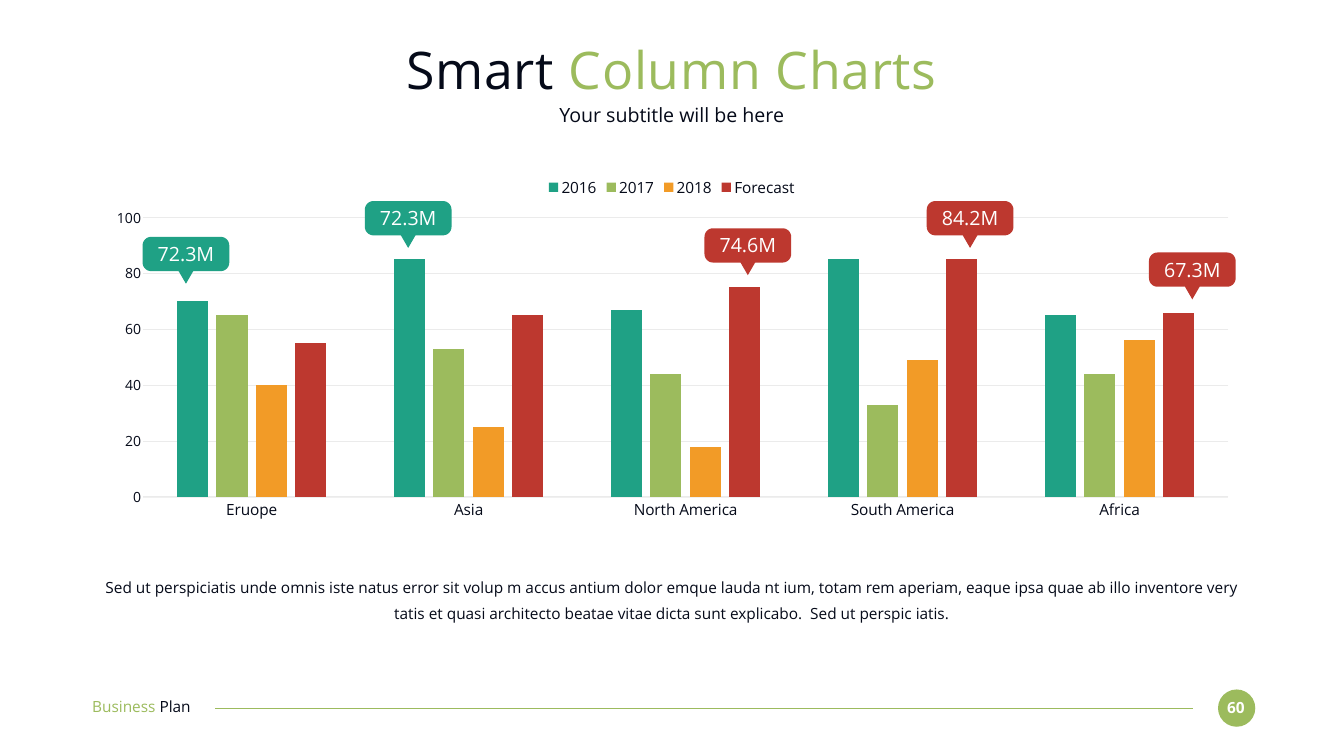
from math import cos, pi, sin
from lxml.etree import SubElement
from pptx import Presentation
from pptx.chart.data import CategoryChartData
from pptx.dml.color import RGBColor
from pptx.enum.chart import XL_CHART_TYPE, XL_LEGEND_POSITION, XL_TICK_MARK
from pptx.enum.shapes import MSO_CONNECTOR, MSO_SHAPE
from pptx.enum.text import MSO_ANCHOR, PP_ALIGN
from pptx.oxml import parse_xml
from pptx.oxml.ns import nsdecls, qn
from pptx.util import Inches, Pt

FONT = "Open Sans"
INK = RGBColor(0x05, 0x0A, 0x19)
WHITE = RGBColor(0xFF, 0xFF, 0xFF)
TEAL = RGBColor(0x1F, 0xA1, 0x85)
GREEN = RGBColor(0x9C, 0xBB, 0x5D)
ORANGE = RGBColor(0xF2, 0x9B, 0x27)
RED = RGBColor(0xBD, 0x38, 0x2F)
AXIS = RGBColor(0xF0, 0xF0, 0xF0)
GRID = RGBColor(0xEB, 0xEB, 0xEB)

TITLE = [("Smart ", INK), ("Column Charts", GREEN)]
SUBTITLE = [("Your subtitle will be here", INK)]
BODY = [("Sed ut perspiciatis unde omnis iste natus error sit volup m accus antium dolor emque "
         "lauda nt ium, totam rem aperiam, eaque ipsa quae ab illo inventore very tatis et quasi "
         "architecto beatae vitae dicta sunt explicabo.  Sed ut perspic iatis.", INK)]
FOOTER = [("Business ", GREEN), ("Plan", INK)]
PAGE = [("60", WHITE)]
REGIONS = ["Eruope", "Asia", "North America", "South America", "Africa"]
SERIES = [
    ("2016", TEAL, [70, 85, 67, 85, 65]),
    ("2017", GREEN, [65, 53, 44, 33, 44]),
    ("2018", ORANGE, [40, 25, 18, 49, 56]),
    ("Forecast", RED, [55, 65, 75, 85, 66]),
]
CALLOUTS = [
    ("72.3M", TEAL, 2.83, 4.7),
    ("72.3M", TEAL, 7.24, 3.99),
    ("74.6M", RED, 13.98, 4.53),
    ("84.2M", RED, 18.39, 3.99),
    ("67.3M", RED, 22.8, 5.01),
]
WIDTH, HEIGHT = 26.67, 15
LEFT, SPAN = 1.83, 23
TAG_W, TAG_H, TAG_R, TIP_W, TIP_H = 1.72, 0.68, 0.17, 0.29, 0.25
PLOT = {"x": 0.044, "y": 0.133, "w": 0.936, "h": 0.786}


def style(font, size, color):
    font.name, font.size, font.color.rgb = FONT, Pt(size), color


def write(shape, runs, size, align=PP_ALIGN.CENTER, anchor=MSO_ANCHOR.TOP, bold=False):
    tf = shape.text_frame
    tf.word_wrap = True
    tf.vertical_anchor = anchor
    tf.margin_left = tf.margin_right = tf.margin_top = tf.margin_bottom = 0
    p = tf.paragraphs[0]
    p.alignment = align
    for text, color in runs:
        r = p.add_run()
        r.text = text
        style(r.font, size, color)
        r.font.bold = bold
    return p


def add_text(s, box, runs, size, **options):
    return write(s.shapes.add_textbox(*map(Inches, box)), runs, size, **options)


def paint(shape, color):
    shape.shadow.inherit = False
    shape.fill.solid()
    shape.fill.fore_color.rgb = color
    shape.line.fill.background()


def corner(cx, cy, start):
    angles = [start + step * pi / 16 for step in range(9)]
    return [(cx + TAG_R * cos(a), cy + TAG_R * sin(a)) for a in angles]


def add_callout(s, label, color, x, y):
    right, bottom, mid = x + TAG_W, y + TAG_H, x + TAG_W / 2
    points = corner(right - TAG_R, y + TAG_R, -pi / 2)
    points += corner(right - TAG_R, bottom - TAG_R, 0)
    points += [(mid + TIP_W / 2, bottom), (mid, bottom + TIP_H), (mid - TIP_W / 2, bottom)]
    points += corner(x + TAG_R, bottom - TAG_R, pi / 2)
    points += corner(x + TAG_R, y + TAG_R, pi)
    builder = s.shapes.build_freeform(*points[0], scale=Inches(1))
    builder = s.shapes.build_freeform(Inches(points[0][0]), Inches(points[0][1]))
    builder.add_line_segments([(Inches(px), Inches(py)) for px, py in points[1:]])
    paint(builder.convert_to_shape(), color)
    add_text(s, (x + 0.14, y + 0.1, TAG_W - 0.28, 0.47), [(label, WHITE)], 28)


def add_columns(s):
    data = CategoryChartData()
    data.categories = REGIONS
    for name, _, values in SERIES:
        data.add_series(name, values)
    box = map(Inches, (LEFT, 3.38, SPAN, 7.05))
    chart = s.shapes.add_chart(XL_CHART_TYPE.COLUMN_CLUSTERED, *box, data).chart
    style(chart.font, 22, INK)
    chart.has_title = False
    chart.has_legend = True
    chart.legend.position = XL_LEGEND_POSITION.TOP
    chart.legend.include_in_layout = False
    style(chart.legend.font, 22, INK)

    plot = chart.plots[0]
    plot.gap_width, plot.overlap, plot.vary_by_categories = 219, -27, False
    for series, (_, color, _) in zip(plot.series, SERIES):
        series.format.fill.solid()
        series.format.fill.fore_color.rgb = color

    cat, val = chart.category_axis, chart.value_axis
    for axis, size in ((cat, 22), (val, 20)):
        axis.major_tick_mark = axis.minor_tick_mark = XL_TICK_MARK.NONE
        style(axis.tick_labels.font, size, INK)
    cat.format.line.color.rgb = AXIS
    cat.format.line.width = Pt(0.75)
    val.format.line.fill.background()
    val.minimum_scale, val.maximum_scale, val.major_unit = 0, 100, 20
    val.major_gridlines.format.line.color.rgb = GRID
    val.major_gridlines.format.line.width = Pt(1)

    area = plot._element.getparent()
    for old in area.findall(qn("c:layout")):
        area.remove(old)
    places = "".join(f'<c:{key} val="{share}"/>' for key, share in PLOT.items())
    area.insert(0, parse_xml(
        f'<c:layout {nsdecls("c")}><c:manualLayout><c:layoutTarget val="inner"/>'
        f'<c:xMode val="edge"/><c:yMode val="edge"/>{places}</c:manualLayout></c:layout>'))


def main():
    prs = Presentation()
    prs.slide_width, prs.slide_height = Inches(WIDTH), Inches(HEIGHT)
    s = prs.slides.add_slide(prs.slide_layouts[5])

    title = s.shapes.title
    title.left, title.top, title.width, title.height = map(Inches, (LEFT, 0.73, SPAN, 1.27))
    for r in write(title, TITLE, 74, anchor=MSO_ANCHOR.MIDDLE).runs:
        r.font._element.set("spc", "100")
    add_text(s, (LEFT, 2.03, SPAN, 0.49), SUBTITLE, 28, anchor=MSO_ANCHOR.MIDDLE)

    add_columns(s)
    for callout in CALLOUTS:
        add_callout(s, *callout)
    add_text(s, (LEFT, 11.33, SPAN, 0.99), BODY, 22).line_spacing = 1.4

    badge = s.shapes.add_shape(MSO_SHAPE.OVAL, *map(Inches, (24.17, 13.68, 0.74, 0.74)))
    paint(badge, GREEN)
    add_text(s, (24.23, 13.85, 0.59, 0.37), PAGE, 22, bold=True)
    rule = s.shapes.add_connector(MSO_CONNECTOR.STRAIGHT, *map(Inches, (23.67, 14.05, 4.27, 14.05)))
    rule.line.color.rgb = GREEN
    rule.line.width = Pt(1.5)
    SubElement(rule._element.spPr, qn("a:effectLst"))
    add_text(s, (LEFT, 13.84, 2.59, 0.37), FOOTER, 22, align=PP_ALIGN.LEFT)
    prs.save("out.pptx")


if __name__ == "__main__":
    main()
